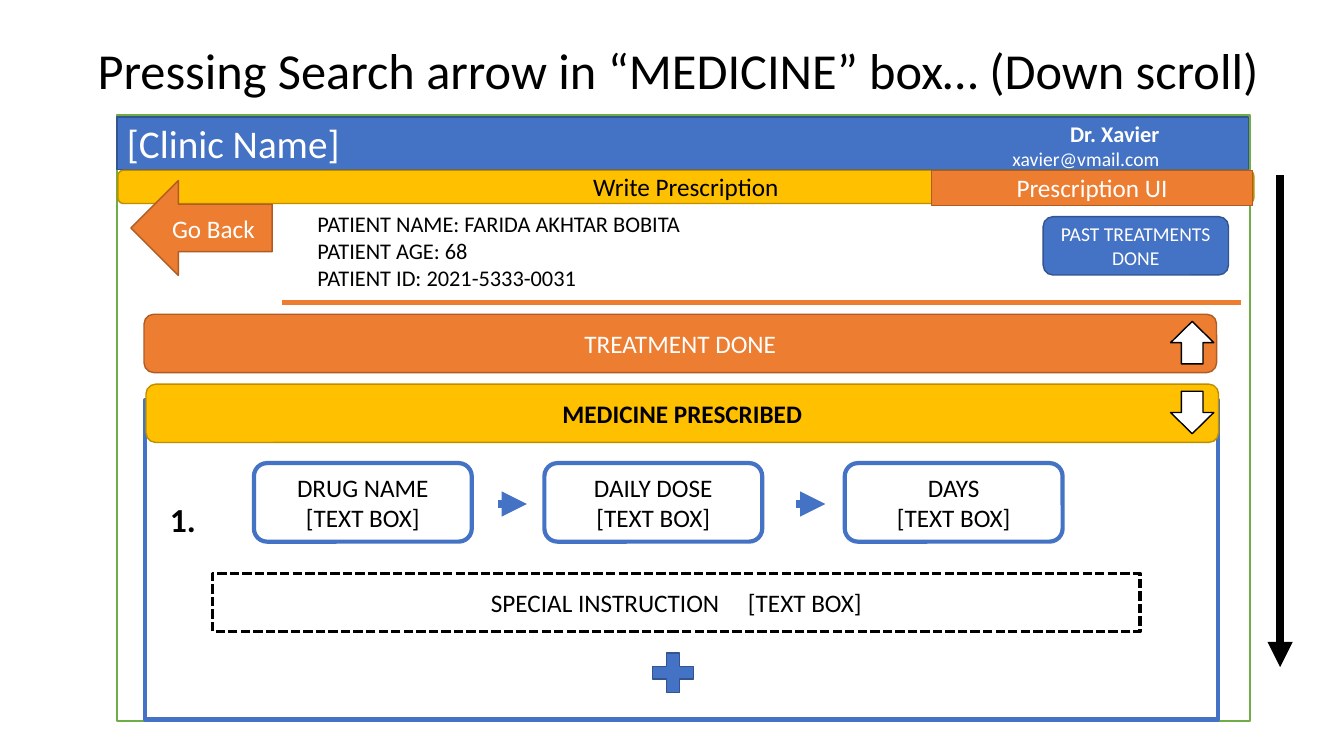
from dataclasses import dataclass

from pptx import Presentation
from pptx.dml.color import RGBColor
from pptx.enum.dml import MSO_LINE
from pptx.enum.shapes import MSO_CONNECTOR, MSO_SHAPE as Kind
from pptx.enum.text import MSO_ANCHOR as Anchor, PP_ALIGN as Align
from pptx.oxml.ns import qn
from pptx.util import Cm, Pt
from lxml.etree import SubElement


@dataclass(frozen=True)
class Theme:
    font: str = "Calibri"
    white: str = "FFFFFF"
    black: str = "000000"
    blue: str = "4472C4"
    navy: str = "325491"
    orange: str = "ED7D31"
    rust: str = "AF5C24"
    gold: str = "FFC000"
    brown: str = "BD8E00"
    green: str = "70AD47"
    title: int = 36
    head: int = 28
    step: int = 24
    body: int = 18
    note: int = 16
    small: int = 14


class Painter:
    def __init__(self, theme, slide):
        self.theme = theme
        self.shapes = slide.shapes

    def letter(self, shape, lines, size, color, bold=False,
               align=Align.CENTER, anchor=Anchor.MIDDLE, space=None):
        """Fill a shape with paragraphs; a line may be a (text, format) pair."""
        frame = shape.text_frame
        frame.word_wrap = True
        frame.vertical_anchor = anchor
        for i, line in enumerate(lines):
            text, extra = line if isinstance(line, tuple) else (line, {})
            par = frame.paragraphs[0] if i == 0 else frame.add_paragraph()
            par.alignment = align
            if space:
                par.line_spacing = space
            style = {"name": self.theme.font, "size": Pt(size), "bold": bold, **extra}
            for part in text if isinstance(text, list) else [text]:
                run = par.add_run()
                run.text = part
                for key, value in style.items():
                    setattr(run.font, key, value)
                run.font.color.rgb = RGBColor.from_string(color)

    def text(self, box, lines, size, color, **style):
        shape = self.shapes.add_textbox(*map(Cm, box))
        self.letter(shape, lines, size, color, **style)

    def shape(self, kind, box, fill, edge=None, width=1, dash=None):
        shape = self.shapes.add_shape(kind, *map(Cm, box))
        shape.shadow.inherit = False
        shape.fill.solid()
        shape.fill.fore_color.rgb = RGBColor.from_string(fill)
        if edge:
            shape.line.color.rgb = RGBColor.from_string(edge)
            shape.line.width = Pt(width)
            if dash:
                shape.line.dash_style = dash
        else:
            shape.line.fill.background()
        return shape

    def label(self, kind, box, paint, lines, size, color, **style):
        shape = self.shape(kind, box, *paint)
        self.letter(shape, lines, size, color, **style)
        return shape

    def line(self, start, end, color, width, arrow=False):
        line = self.shapes.add_connector(
            MSO_CONNECTOR.STRAIGHT, *map(Cm, (*start, *end)))
        line.line.color.rgb = RGBColor.from_string(color)
        line.line.width = Pt(width)
        props = line._element.spPr
        if arrow:
            SubElement(props.find(qn("a:ln")), qn("a:tailEnd"), type="triangle")
        SubElement(props, qn("a:effectLst"))


def head(p, t):
    """Draw the title, the clinic bar and the page bar."""
    p.text((2.21, 0, 30.76, 3.68),
           ["Pressing Search arrow in “MEDICINE” box… (Down scroll)"],
           t.title, t.black, align=Align.LEFT, space=0.9)
    p.shape(Kind.RECTANGLE, (2.95, 2.9, 28.55, 15.27), t.white, t.green)
    p.label(Kind.RECTANGLE, (2.95, 2.95, 28.52, 1.32), (t.blue, t.navy),
            ["[Clinic Name]"], t.head, t.white, align=Align.LEFT)
    p.text((24.31, 2.9, 5.16, 1.55),
           [("Dr. Xavier", {"bold": True}),
            ("xavier@vmail.com", {"size": Pt(t.small)})],
           t.note, t.white, align=Align.RIGHT, anchor=Anchor.TOP)
    p.label(Kind.ROUNDED_RECTANGLE, (2.97, 4.29, 28.63, 0.84), (t.gold, t.brown),
            ["Write Prescription"], t.body, t.black)
    p.label(Kind.LEFT_ARROW, (3.3, 4.55, 3.56, 2.39), (t.orange, t.rust),
            ["Go Back"], t.body, t.white)
    p.label(Kind.RECTANGLE, (23.47, 4.29, 8.1, 0.89), (t.orange, t.rust),
            ["Prescription UI"], t.body, t.white)


def patient(p, t):
    p.text((7.75, 5.18, 11.79, 2.31),
           ["PATIENT NAME: FARIDA AKHTAR BOBITA", "PATIENT AGE: 68",
            "PATIENT ID: 2021-5333-0031"],
           t.note, t.black, align=Align.LEFT, anchor=Anchor.TOP)
    p.label(Kind.ROUNDED_RECTANGLE, (26.29, 5.46, 4.67, 1.47), (t.blue, t.navy),
            ["PAST TREATMENTS DONE"], t.small, t.white)
    p.line((7.11, 7.62), (31.27, 7.62), t.orange, 3)


def sections(p, t):
    """Draw the two folding bars and the open panel."""
    p.shape(Kind.RECTANGLE, (3.66, 10.08, 27.03, 8.05), t.white, t.blue, 3)
    bars = [
        (3.63, 7.92, "TREATMENT DONE", (t.orange, t.rust), t.white, False,
         Kind.UP_ARROW),
        (3.68, 9.68, "MEDICINE PRESCRIBED", (t.gold, t.brown), t.black, True,
         Kind.DOWN_ARROW),
    ]
    for x, y, name, paint, color, bold, arrow in bars:
        p.label(Kind.ROUNDED_RECTANGLE, (x, y, 27.03, 1.47), paint,
                [name], t.body, color, bold=bold)
        p.shape(arrow, (29.5, y + 0.18, 1.09, 1.07), t.white, t.black)


def drug(p, t):
    """Draw the numbered entry with its three fields."""
    p.label(Kind.ROUNDED_RECTANGLE, (3.96, 12.37, 1.73, 1.42), (t.white,),
            ["1."], t.step, t.black, bold=True, align=Align.LEFT,
            anchor=Anchor.TOP)
    for x, name in ((6.4, "DRUG NAME"), (13.72, "DAILY DOSE"), (21.29, "DAYS")):
        p.label(Kind.ROUNDED_RECTANGLE, (x, 11.67, 5.49, 1.98),
                (t.white, t.blue, 3), [name, "[TEXT BOX]"], t.body, t.black,
                anchor=Anchor.TOP)
    for x in (12.55, 20.07):
        p.line((x, 12.7), (x + 0.73, 12.7), t.blue, 6, arrow=True)

    order = p.label(Kind.RECTANGLE, (5.36, 14.45, 23.37, 1.47),
                    (t.white, t.black, 2.25, MSO_LINE.SQUARE_DOT),
                    [(["SPECIAL INSTRUCTION", " ", "[TEXT BOX]"], {})],
                    t.body, t.black)
    gap = order.text_frame.paragraphs[0].runs[1]
    gap._r.get_or_add_rPr().set("spc", "1630")
    p.shape(Kind.MATH_PLUS, (16.26, 16.28, 1.4, 1.35), t.blue, t.navy)


def main():
    deck = Presentation()
    deck.slide_width, deck.slide_height = Cm(33.87), Cm(19.05)
    theme = Theme()
    pen = Painter(theme, deck.slides.add_slide(deck.slide_layouts[6]))
    for draw in (head, patient, sections, drug):
        draw(pen, theme)
    pen.line((32.26, 4.42), (32.26, 16.81), theme.black, 6, arrow=True)
    deck.save("out.pptx")


if __name__ == "__main__":
    main()
